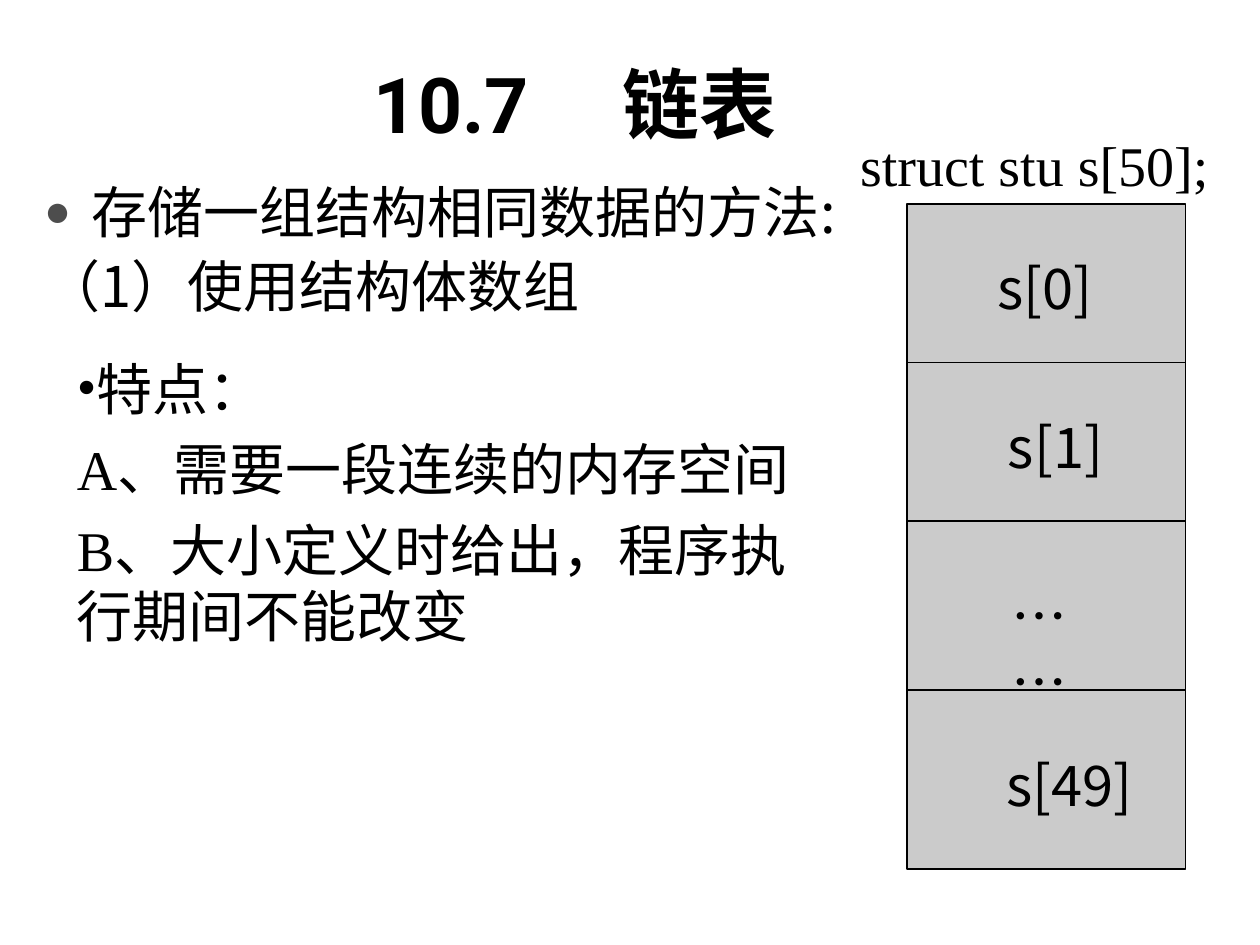
from lxml import etree
from pptx import Presentation
from pptx.dml.color import RGBColor
from pptx.enum.shapes import MSO_CONNECTOR, MSO_SHAPE
from pptx.enum.text import MSO_ANCHOR
from pptx.oxml.ns import qn
from pptx.util import Cm, Pt

BLACK = RGBColor(0x00, 0x00, 0x00)
BULLET_GRAY = RGBColor(0x4D, 0x4D, 0x4D)
CELL_GRAY = RGBColor(0xCB, 0xCB, 0xCB)
RECTANGLE = MSO_SHAPE.RECTANGLE
STRAIGHT = MSO_CONNECTOR.STRAIGHT
MIDDLE = MSO_ANCHOR.MIDDLE

CJK = "Noto Sans CJK SC"
SERIF = "Times New Roman"
TITLE_FONT = "Roboto"
TEXT_SIZE = 32
LINE_PITCH = Pt(38)


def add_text(slide, box, lines, latin=CJK, size=TEXT_SIZE, bold=False,
             gap=0, pitch=LINE_PITCH, wrap=True):
    """Add a text box with one paragraph per line; box is in centimetres."""
    tf = slide.shapes.add_textbox(*map(Cm, box)).text_frame
    tf.word_wrap = wrap
    tf.text = "\n".join(lines)
    for i, p in enumerate(tf.paragraphs):
        p.line_spacing = pitch
        p.space_before = Pt(gap if i else 0)
        for r in p.runs:
            r.font.name = latin
            r.font.size = Pt(size)
            r.font.bold = bold
            r.font.color.rgb = BLACK
            etree.SubElement(r._r.get_or_add_rPr(), qn("a:ea"), typeface=CJK)
    return tf


def set_indent(p, hang):
    pPr = p._p.get_or_add_pPr()
    pPr.set("marL", str(Cm(hang)))
    pPr.set("indent", str(-Cm(hang)))


def add_bullet(p, char, color, percent=100):
    pPr = p._p.get_or_add_pPr()
    clr = etree.SubElement(pPr, qn("a:buClr"))
    etree.SubElement(clr, qn("a:srgbClr"), val=str(color))
    etree.SubElement(pPr, qn("a:buSzPct"), val=str(percent * 1000))
    etree.SubElement(pPr, qn("a:buFont"), typeface=SERIF)
    etree.SubElement(pPr, qn("a:buChar"), char=char)


def add_title(slide, box):
    tf = add_text(slide, box, ["10.7\t链表"], TITLE_FONT, 44, True, pitch=None)
    tf.vertical_anchor = MIDDLE
    pPr = tf.paragraphs[0]._p.get_or_add_pPr()
    tabs = etree.SubElement(pPr, qn("a:tabLst"))
    etree.SubElement(tabs, qn("a:tab"), pos=str(Cm(5)), algn="l")


def add_methods(slide, box):
    lines = ["存储一组结构相同数据的方法:", "（1）使用结构体数组"]
    tf = add_text(slide, box, lines, gap=4)
    for p in tf.paragraphs:
        set_indent(p, 0.95)
    add_bullet(tf.paragraphs[0], "●", BULLET_GRAY, 80)


def add_features(slide, box):
    lines = ["特点：", "A、需要一段连续的内存空间",
             "B、大小定义时给出，程序执行期间不能改变"]
    tf = add_text(slide, box, lines, SERIF, gap=8)
    set_indent(tf.paragraphs[0], 0)
    add_bullet(tf.paragraphs[0], "•", BLACK)


def add_divider(slide, left, y, width):
    line = slide.shapes.add_connector(
        STRAIGHT, Cm(left), Cm(y), Cm(left + width), Cm(y))
    line.line.color.rgb = BLACK
    line.line.width = Pt(1)
    etree.SubElement(line._element.spPr, qn("a:effectLst"))


def add_array(slide, box):
    """Draw the memory column with its declaration above it."""
    left, top, width, height = box
    column = slide.shapes.add_shape(RECTANGLE, *map(Cm, box))
    column.shadow.inherit = False
    column.fill.solid()
    column.fill.fore_color.rgb = CELL_GRAY
    column.line.color.rgb = BLACK
    column.line.width = Pt(1)

    # label, cell top, label offset from the cell's corner, label width
    cells = [("s[0]", 0, 1.57, 0.9, 2.44),
             ("s[1]", 3.2, 1.78, 0.9, 2.44),
             ("……", 6.4, 1.85, 1.1, 2.29),
             ("s[49]", 9.8, 1.75, 1.1, 3.07)]
    for label, y, dx, dy, label_width in cells:
        if y:
            add_divider(slide, left, top + y, width)
        add_text(slide, (left + dx, top + y + dy, label_width, 1.63),
                 [label], wrap=label == "……")
    add_text(slide, (left - 1.2, top - 1.6, 7.54, 1.63),
             ["struct stu s[50];"], SERIF, pitch=None, wrap=False)


def main():
    prs = Presentation()
    prs.slide_width, prs.slide_height = Cm(25.4), Cm(19.05)
    slide = prs.slides.add_slide(prs.slide_layouts[6])
    add_title(slide, (7.29, 0.71, 17.2, 2.74))
    add_methods(slide, (0.64, 3.47, 24.13, 3.18))
    add_array(slide, (18.29, 4.11, 5.61, 13.41))
    add_features(slide, (1.3, 7.03, 15.19, 6.25))
    prs.save("out.pptx")


if __name__ == "__main__":
    main()
